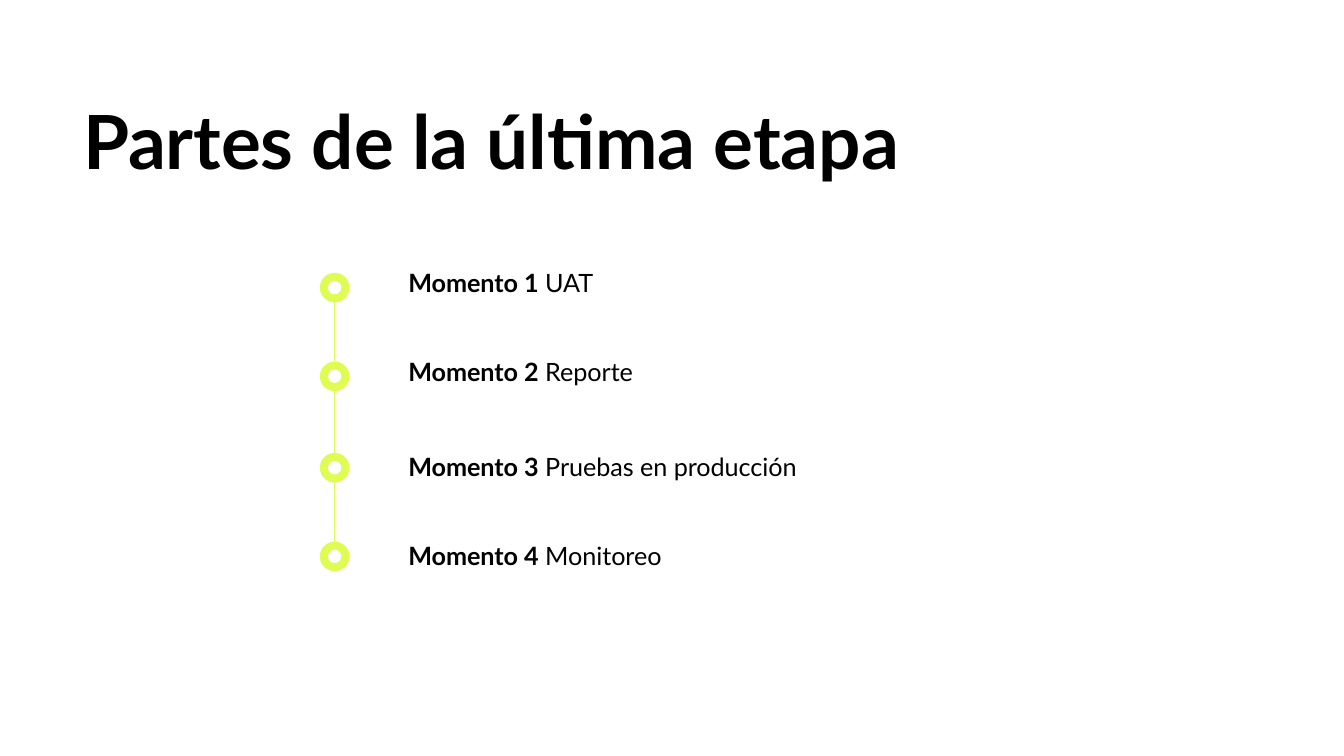
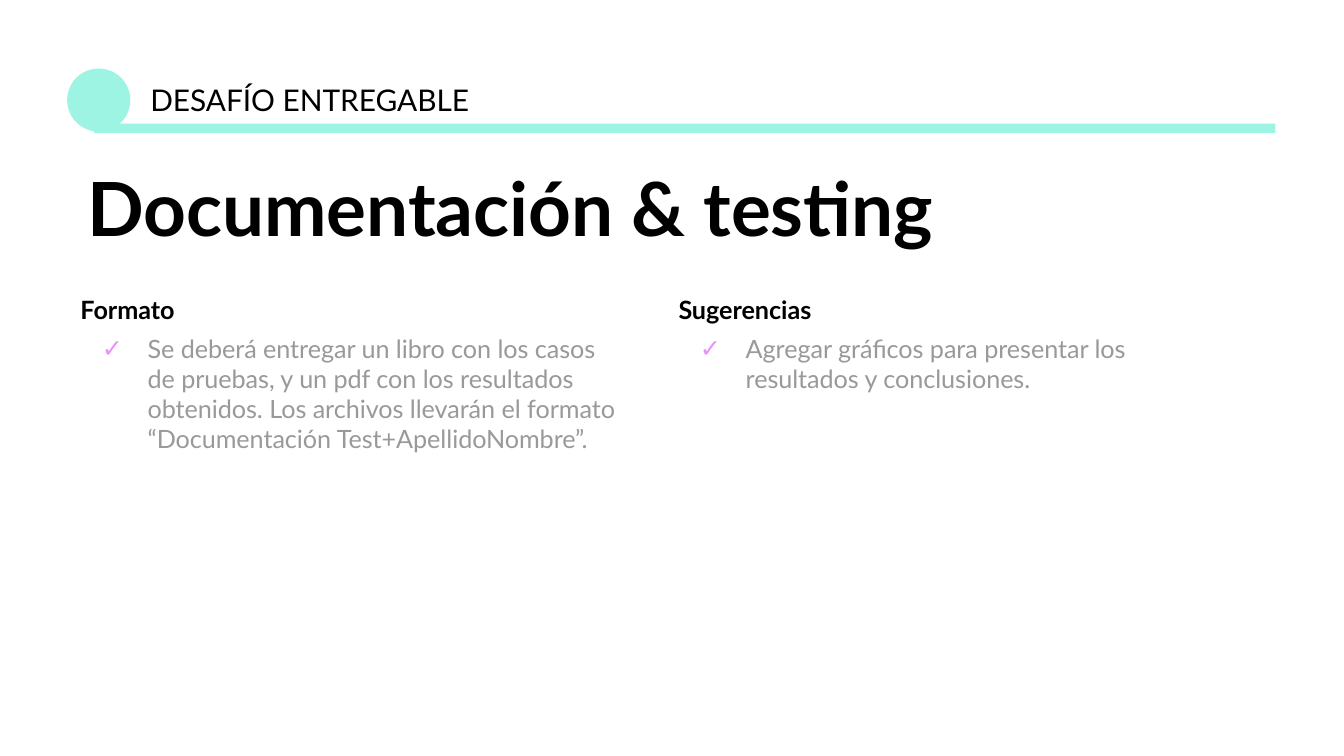
from lxml import etree
from pptx import Presentation
from pptx.dml.color import RGBColor
from pptx.enum.shapes import MSO_CONNECTOR, MSO_SHAPE
from pptx.enum.text import MSO_AUTO_SIZE
from pptx.oxml.ns import qn
from pptx.util import Inches, Pt

OVAL, BAR = MSO_SHAPE.OVAL, MSO_SHAPE.RECTANGLE
STRAIGHT = MSO_CONNECTOR.STRAIGHT
GROW = MSO_AUTO_SIZE.SHAPE_TO_FIT_TEXT

FONT = "Lato"
BLACK = RGBColor(0x00, 0x00, 0x00)
WHITE = RGBColor(0xFF, 0xFF, 0xFF)
GRAY = RGBColor(0x99, 0x99, 0x99)
LIME = RGBColor(0xDE, 0xFC, 0x52)
MINT = RGBColor(0x9D, 0xF4, 0xE2)
PINK = RGBColor(0xEA, 0x90, 0xFF)

TITLE = {"size": Pt(40), "bold": True}
SECTION = {"size": Pt(16), "bold": False}
STRONG = {"size": Pt(13.5), "bold": True}
PLAIN = {"size": Pt(13.5), "bold": False}

STAGES_TITLE = "Partes de la última etapa"
# name, topic, top of the ring, top of the label
STAGES = [
    ("Momento 1", "UAT", 2.03, 1.89),
    ("Momento 2", "Reporte", 2.69, 2.55),
    ("Momento 3", "Pruebas en producción", 3.37, 3.26),
    ("Momento 4", "Monitoreo", 4.03, 3.92),
]
RING_LEFT, RING_SIZE, HOLE_SIZE = 2.38, 0.22, 0.1

TASK_SECTION = "DESAFÍO ENTREGABLE"
TASK_TITLE = "Documentación & testing"
# heading, item, box height
TASK_COLUMNS = [
    ("Formato", "Se deberá entregar un libro con los casos de pruebas, y un pdf con los "
     "resultados obtenidos. Los archivos llevarán el formato "
     "“Documentación Test+ApellidoNombre”.", 1.63),
    ("Sugerencias", "Agregar gráficos para presentar los resultados y conclusiones.", 0.95),
]
COLUMN_LEFT, COLUMN_TOP, COLUMN_WIDTH, COLUMN_STEP = 0.5, 2.09, 4.19, 4.45


def add_solid(shapes, kind, left, top, width, height, color):
    """Add a borderless shape in one flat colour."""
    shape = shapes.add_shape(kind, *map(Inches, (left, top, width, height)))
    shape.shadow.inherit = False
    shape.fill.solid()
    shape.fill.fore_color.rgb = color
    shape.line.fill.background()


def add_box(page, left, top, width, height):
    """Add an empty text box and return its text frame."""
    box = page.shapes.add_textbox(*map(Inches, (left, top, width, height)))
    frame = box.text_frame
    frame.word_wrap = True
    frame.auto_size = GROW
    for side in ("left", "right", "top", "bottom"):
        setattr(frame, f"margin_{side}", Inches(0.1))
    return frame


def add_span(para, text, style, color=BLACK):
    span = para.add_run()
    span.text = text
    span.font.name = FONT
    span.font.color.rgb = color
    for name, value in style.items():
        setattr(span.font, name, value)


def add_title(page, text, left, top, width):
    para = add_box(page, left, top, width, 0.81).paragraphs[0]
    para.line_spacing = 0.9
    add_span(para, text, TITLE)


def add_check_bullet(para):
    properties = para._p.get_or_add_pPr()
    properties.set("marL", str(Inches(0.5)))
    properties.set("indent", str(Inches(-0.34)))
    color = etree.SubElement(properties, qn("a:buClr"))
    etree.SubElement(color, qn("a:srgbClr"), val=str(PINK))
    etree.SubElement(properties, qn("a:buFont"), typeface=FONT)
    etree.SubElement(properties, qn("a:buChar"), char="✓")


def add_ring(page, top):
    group = page.shapes.add_group_shape()
    inset = (RING_SIZE - HOLE_SIZE) / 2
    add_solid(group.shapes, OVAL, RING_LEFT, top, RING_SIZE, RING_SIZE, LIME)
    add_solid(group.shapes, OVAL, RING_LEFT + inset, top + inset, HOLE_SIZE, HOLE_SIZE, WHITE)


def add_link(page, start, end):
    """Join two rings with a thin vertical line."""
    center = Inches(RING_LEFT + RING_SIZE / 2)
    link = page.shapes.add_connector(STRAIGHT, center, Inches(start), center, Inches(end))
    link.line.color.rgb = LIME
    link.line.width = Pt(0.75)
    etree.SubElement(link._element.spPr, qn("a:effectLst"))


def build_stages(page):
    add_title(page, STAGES_TITLE, 0.52, 0.68, 8.9)
    for name, topic, ring_top, label_top in STAGES:
        add_ring(page, ring_top)
        para = add_box(page, 2.94, label_top, 4.68, 0.43).paragraphs[0]
        add_span(para, name, STRONG)
        add_span(para, f" {topic}", PLAIN)
    tops = [stage[2] for stage in STAGES]
    for top, next_top in zip(tops, tops[1:]):
        add_link(page, top + RING_SIZE, next_top)


def build_task(page):
    add_solid(page.shapes, OVAL, 0.5, 0.51, 0.47, 0.47, MINT)
    add_solid(page.shapes, BAR, 0.7, 0.92, 8.79, 0.07, MINT)
    section = add_box(page, 1.02, 0.51, 2.69, 0.47)
    add_span(section.paragraphs[0], TASK_SECTION, SECTION)
    add_title(page, TASK_TITLE, 0.55, 1.18, 7.99)
    for index, (heading, item, height) in enumerate(TASK_COLUMNS):
        left = COLUMN_LEFT + index * COLUMN_STEP
        frame = add_box(page, left, COLUMN_TOP, COLUMN_WIDTH, height)
        add_span(frame.paragraphs[0], heading, STRONG)
        para = frame.add_paragraph()
        add_check_bullet(para)
        para.space_before = Pt(4.5)
        add_span(para, item, PLAIN, GRAY)


def main():
    deck = Presentation()
    deck.slide_width, deck.slide_height = Inches(10), Inches(5.625)
    blank = deck.slide_layouts[6]
    for build in (build_stages, build_task):
        build(deck.slides.add_slide(blank))
    deck.save("out.pptx")


if __name__ == "__main__":
    main()
